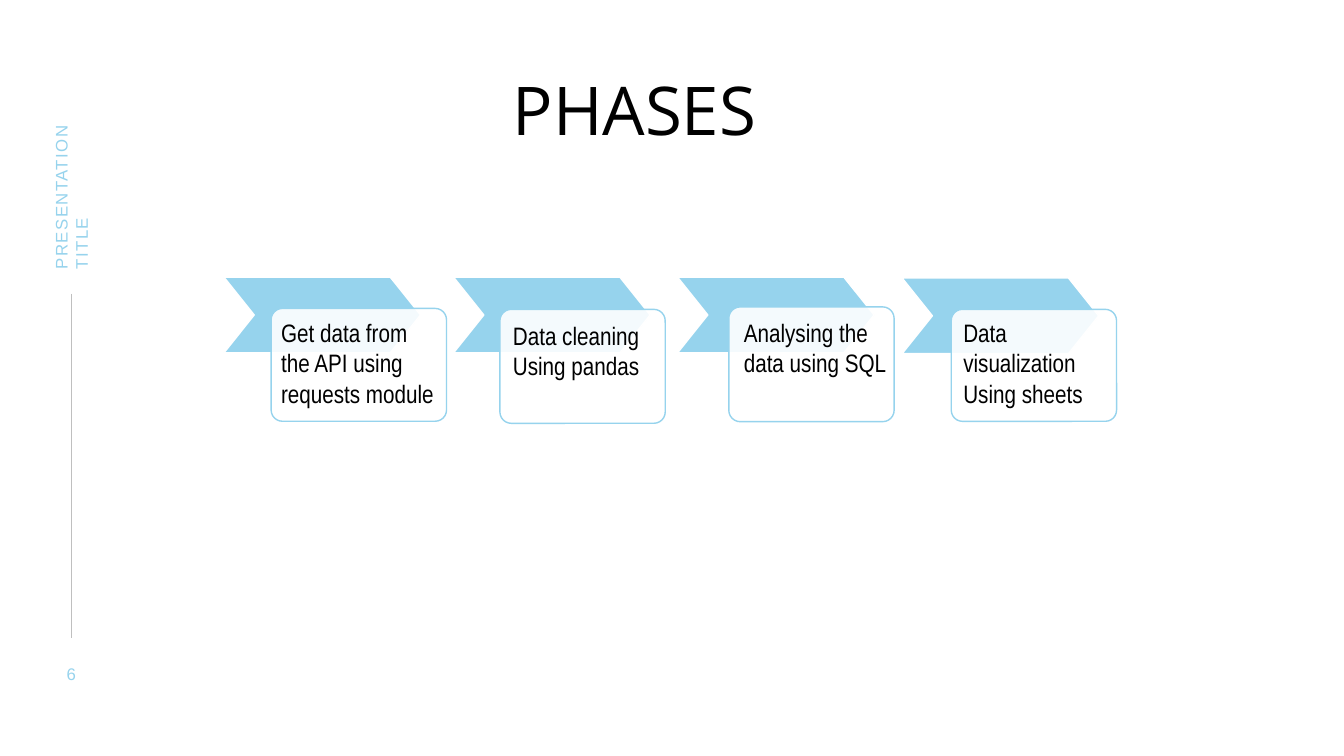
from dataclasses import dataclass

from lxml.etree import SubElement
from pptx import Presentation
from pptx.dml.color import RGBColor
from pptx.enum.shapes import MSO_CONNECTOR, MSO_SHAPE
from pptx.enum.text import MSO_ANCHOR, PP_ALIGN
from pptx.oxml.ns import qn
from pptx.util import Pt


@dataclass(frozen=True)
class Theme:
    sky: RGBColor = RGBColor(0x96, 0xD3, 0xED)
    white: RGBColor = RGBColor(255, 255, 255)
    black: RGBColor = RGBColor(0, 0, 0)
    rule: RGBColor = RGBColor(0xBF, 0xBF, 0xBF)
    heading_font: str = "Open Sans"
    body_font: str = "Arial Narrow"
    margin_font: str = "Arial"
    heading_size: int = 48
    body_size: int = 18
    margin_size: int = 12


theme = Theme()
prs = Presentation()
prs.slide_width, prs.slide_height = Pt(960), Pt(540)
slide = prs.slides.add_slide(prs.slide_layouts[6])


def add_text(box, lines, font, size, color, align=PP_ALIGN.LEFT):
    left, top, width, height = box
    label = slide.shapes.add_textbox(Pt(left), Pt(top), Pt(width), Pt(height))
    frame = label.text_frame
    frame.word_wrap = True
    frame.text = "\n".join(lines)
    for paragraph in frame.paragraphs:
        paragraph.alignment = align
        paragraph.font.name = font
        paragraph.font.size = Pt(size)
        paragraph.font.color.rgb = color
    return label


def add_panel(kind, box, adjustment, fill, line):
    left, top, width, height = box
    panel = slide.shapes.add_shape(kind, Pt(left), Pt(top), Pt(width), Pt(height))
    panel.adjustments[0] = adjustment
    panel.shadow.inherit = False
    panel.fill.solid()
    panel.fill.fore_color.rgb = fill
    panel.line.color.rgb = line
    panel.line.width = Pt(1)
    return panel


# Left margin: rule, page number and running title
rule = slide.shapes.add_connector(
    MSO_CONNECTOR.STRAIGHT, Pt(51), Pt(210), Pt(51), Pt(456))
rule.line.color.rgb = theme.rule
rule.line.width = Pt(0.75)
SubElement(rule._element.spPr, qn("a:effectLst"))

margin_texts = [
    ("6", (33, 474, 36, 14.4), 0, PP_ALIGN.CENTER, 200),
    ("PRESENTATION TITLE", (-19.5, 114.5, 140.5, 15), 270, PP_ALIGN.LEFT, 100),
]
for wording, box, rotation, align, spacing in margin_texts:
    margin = add_text(box, [wording], theme.margin_font, theme.margin_size,
                      theme.sky, align)
    margin.rotation = rotation
    frame = margin.text_frame
    frame.vertical_anchor = MSO_ANCHOR.MIDDLE
    frame.margin_left = frame.margin_right = 0
    frame.margin_top = frame.margin_bottom = 0
    frame.paragraphs[0].runs[0].font._element.set("spc", str(spacing))

# Heading
add_text((320.4, 45.4, 265.7, 87), ["PHASES"], theme.heading_font,
         theme.heading_size, theme.black, PP_ALIGN.CENTER)

# Phases: chevron left and top, card box, text box, lines
phases = [
    (160, 198, (193.7, 220.3, 125.3, 80.6), (193.7, 223.2, 127.4, 72.7),
     ["Get data from the API using requests module"]),
    (324, 198, (357.1, 221, 118.1, 81.4), (359.3, 225.4, 110.2, 51),
     ["Data cleaning", "Using pandas"]),
    (484, 198, (520.6, 219.2, 118.1, 82), (524.2, 223.2, 123.1, 51),
     ["Analysing the data using SQL"]),
    (644.4, 198.6, (679.5, 221, 118.1, 80), (681, 223.2, 118.8, 72.7),
     ["Data visualization", "Using sheets"]),
]
for left, top, card_box, text_box, lines in phases:
    add_panel(MSO_SHAPE.CHEVRON, (left, top, 140.4, 54), 0.4,
              theme.sky, theme.white)
    card = add_panel(MSO_SHAPE.ROUNDED_RECTANGLE, card_box, 0.1,
                     theme.white, theme.sky)
    card_color = card._element.spPr.find(qn("a:solidFill"))[0]
    SubElement(card_color, qn("a:alpha"), val="90000")
    add_text(text_box, lines, theme.body_font, theme.body_size, theme.black)

prs.save("out.pptx")
